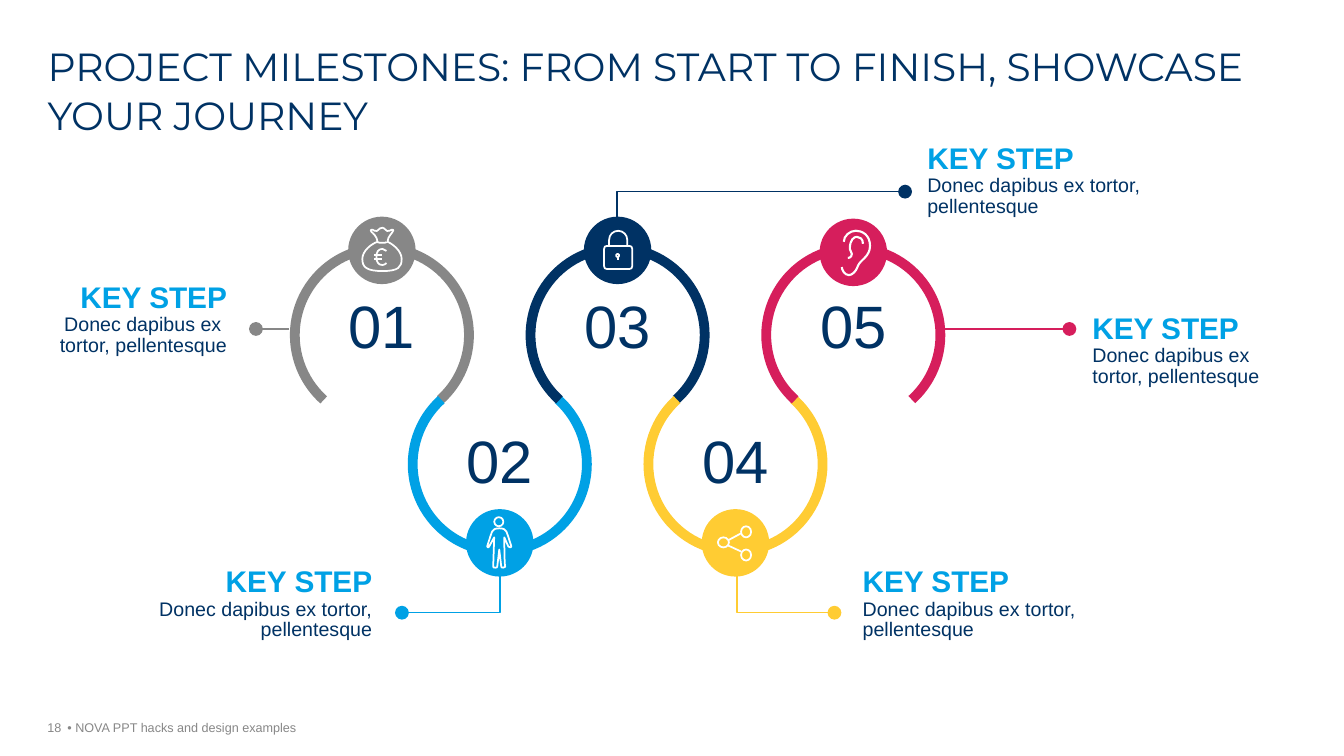
import pptx
import pptx.util
import pptx.dml.color
import pptx.enum.shapes
import pptx.enum.text
import pptx.oxml.ns
import lxml.etree

Cm = pptx.util.Cm
Pt = pptx.util.Pt
RGBColor = pptx.dml.color.RGBColor
SHAPE = pptx.enum.shapes.MSO_SHAPE
STRAIGHT = pptx.enum.shapes.MSO_CONNECTOR.STRAIGHT
ALIGN = pptx.enum.text.PP_ALIGN
ANCHOR = pptx.enum.text.MSO_ANCHOR
qn = pptx.oxml.ns.qn

NAVY = RGBColor(0x00, 0x32, 0x64)
BLUE = RGBColor(0x00, 0xA1, 0xE5)
GRAY = RGBColor(0x87, 0x87, 0x87)
YELLOW = RGBColor(0xFF, 0xCC, 0x33)
PINK = RGBColor(0xD6, 0x1E, 0x5C)
WHITE = RGBColor(0xFF, 0xFF, 0xFF)

TITLE = "PROJECT MILESTONES: FROM START TO FINISH, SHOWCASE YOUR JOURNEY"
FOOTER = "• NOVA PPT hacks and design examples"
PAGE_NUMBER = "18"
HEADING = "KEY STEP"
WIDE_TEXT = "Donec dapibus ex tortor, pellentesque"
NARROW_TEXT = "Donec dapibus ex \vtortor, pellentesque"

ICON_UNIT = Cm(0.0254)
MONEY_BAG = {
    "weight": 1.25,
    "curves": [
        [(38, 34), (37, 33), (36, 32), (34, 32), (30, 32), (28, 35), (28, 40),
         (28, 45), (30, 48), (34, 48), (36, 48), (37, 47), (38, 46)],
        [(38, 25), (38, 25), (38, 26), (34, 26), (29, 26), (29, 25), (29, 25)],
        [(34, 11), (35, 11), (36, 12), (37, 13), (38, 14), (39, 15), (41, 14),
         (44, 12), (46, 13), (44, 15), (44, 16), (39, 20), (39, 25),
         (44, 27), (53, 34), (53, 42), (53, 50), (50, 54), (34, 54),
         (18, 54), (14, 50), (14, 42), (14, 34), (23, 27), (29, 25),
         (29, 20), (24, 16), (23, 15), (21, 13), (24, 12), (26, 14),
         (28, 15), (29, 14), (30, 13), (31, 12), (32, 11), (34, 11)],
    ],
    "lines": [(26, 38, 34, 38), (26, 42, 34, 42)],
}
PERSON = {
    "weight": 1.25,
    "curves": [
        [(33, 19), (29, 19), (27, 20), (26, 22), (25, 24), (21, 37), (21, 37),
         (21, 37), (21, 38), (22, 38), (22, 38), (23, 38), (23, 37),
         (28, 28), (28, 28), (28, 28), (28, 28), (27, 57), (27, 57),
         (27, 58), (28, 58), (29, 58), (30, 58), (31, 58), (31, 57),
         (33, 40), (33, 40), (33, 40), (35, 57), (35, 57), (35, 57),
         (35, 58), (36, 58), (37, 58), (38, 58), (38, 58), (39, 57),
         (38, 57), (38, 28), (38, 28), (42, 37), (42, 37), (42, 37),
         (43, 38), (43, 38), (44, 38), (45, 38), (45, 37), (45, 37),
         (45, 37), (41, 24), (40, 22), (39, 20), (37, 19), (33, 19)],
    ],
    "rings": [(28, 8, 9, 9)],
}
PADLOCK = {
    "weight": 1.25,
    "curves": [
        [(48, 49), (48, 51), (47, 52), (45, 52), (23, 52), (23, 52), (23, 52),
         (21, 52), (20, 51), (20, 49), (20, 32), (20, 32), (20, 32),
         (20, 30), (21, 29), (23, 29), (45, 29), (45, 29), (45, 29),
         (47, 29), (48, 30), (48, 32), (48, 32), (48, 49), (48, 49)],
        [(25, 29), (25, 23), (25, 23), (25, 23), (25, 18), (29, 14), (34, 14),
         (39, 14), (43, 18), (43, 23), (43, 29), (43, 29), (43, 29)],
    ],
    "lines": [(34, 40, 34, 43)],
    "rings": [(32, 37, 3, 3)],
}
SHARE = {
    "weight": 1.25,
    "lines": [(26, 36, 39, 42), (39, 24, 26, 31)],
    "rings": [(16, 28, 11, 10), (39, 40, 10, 11), (39, 17, 10, 11)],
}
EAR = {
    "weight": 1.5,
    "fill": PINK,
    "curves": [
        [(24, 23), (24, 17), (30, 12), (36, 12), (42, 12), (50, 16), (50, 27),
         (50, 38), (40, 41), (38, 47), (36, 53), (32, 56), (29, 56),
         (25, 56), (22, 51), (22, 48)],
        [(43, 25), (43, 20), (40, 18), (37, 18), (34, 18), (30, 21), (30, 30),
         (30, 33), (32, 32), (32, 35), (32, 39), (28, 39), (28, 39)],
    ],
}

STEPS = [
    ("01", GRAY, MONEY_BAG, 5.46, [(7.29, 8.29), (6.45, 8.29)],
     (1.07, 7.01, 4.98), ALIGN.RIGHT, NARROW_TEXT),
    ("02", BLUE, PERSON, 12.83, [(10.13, 15.44), (12.6, 15.44), (12.6, 14.5)],
     (3.51, 14.17, 6.2), ALIGN.RIGHT, WIDE_TEXT),
    ("03", NAVY, PADLOCK, 5.46, [(22.81, 4.83), (15.55, 4.83), (15.55, 5.51)],
     (23.04, 3.51, 6.2), ALIGN.LEFT, WIDE_TEXT),
    ("04", YELLOW, SHARE, 12.83, [(21.03, 15.44), (18.57, 15.44), (18.57, 14.5)],
     (21.41, 14.17, 6.2), ALIGN.LEFT, WIDE_TEXT),
    ("05", PINK, EAR, 5.51, [(23.8, 8.29), (26.95, 8.29)],
     (27.2, 7.78, 4.98), ALIGN.LEFT, NARROW_TEXT),
]
ARC_LEFT, ARC_PITCH, ARC_SIZE = 7.43, 2.97, 4.39
ARC_TOPS, NUMBER_TOPS = (6.25, 9.5), (7.37, 10.77)
DISC_SIZE, NUMBER_WIDTH = 1.7, 3.1


def style(shape, fill, color, weight):
    shape.shadow.inherit = False
    if fill is None:
        shape.fill.background()
    else:
        shape.fill.solid()
        shape.fill.fore_color.rgb = fill
    shape.line.color.rgb = color
    shape.line.width = Pt(weight)


def add_line(shapes, start, end, color, weight):
    line = shapes.add_connector(STRAIGHT, *start, *end)
    line.line.color.rgb = color
    line.line.width = Pt(weight)
    lxml.etree.SubElement(line._element.spPr, qn("a:effectLst"))
    return line


def add_outline(shapes, points, fill, color, weight):
    builder = shapes.build_freeform(*points[0], scale=1.0)
    builder.add_line_segments(points[1:], close=points[0] == points[-1])
    shape = builder.convert_to_shape()
    style(shape, fill, color, weight)
    return shape


def add_curve(shapes, points, fill, color, weight):
    shape = add_outline(shapes, points[::3], fill, color, weight)
    segments = list(shape._element.iter(qn("a:lnTo")))
    for i, segment in enumerate(segments):
        segment.tag = qn("a:cubicBezTo")
        for place, (x, y) in enumerate(points[3 * i + 1:3 * i + 3]):
            control = lxml.etree.Element(qn("a:pt"), x=str(x - shape.left), y=str(y - shape.top))
            segment.insert(place, control)


def add_icon(shapes, icon, left, top):
    def place(x, y):
        return left + x * ICON_UNIT, top + y * ICON_UNIT

    weight = icon["weight"]
    for curve in icon.get("curves", []):
        add_curve(shapes, [place(*point) for point in curve], icon.get("fill"), WHITE, weight)
    for x1, y1, x2, y2 in icon.get("lines", []):
        add_line(shapes, place(x1, y1), place(x2, y2), WHITE, weight)
    for x, y, width, height in icon.get("rings", []):
        ring = shapes.add_shape(SHAPE.OVAL, *place(x, y), width * ICON_UNIT, height * ICON_UNIT)
        style(ring, None, WHITE, weight)


def add_text(page, frame, paragraphs, align=ALIGN.LEFT, spacing=None,
             margins=(0.33, 0.13, 0.33, 0.18), anchor=ANCHOR.TOP):
    text = page.shapes.add_textbox(*map(Cm, frame)).text_frame
    text.word_wrap = True
    text.vertical_anchor = anchor
    text.margin_left, text.margin_top, text.margin_right, text.margin_bottom = map(Cm, margins)
    for i, (words, size, color, bold, font) in enumerate(paragraphs):
        para = text.paragraphs[0] if i == 0 else text.add_paragraph()
        para.text = words
        para.alignment = align
        para.line_spacing = spacing
        for span in para.runs:
            span.font.name, span.font.size, span.font.bold = font, Pt(size), bold
            span.font.color.rgb = color


def add_leader(page, points, color):
    points = [(Cm(x), Cm(y)) for x, y in points]
    if len(points) == 2:
        leader, end = add_line(page.shapes, *points, color, 1), "a:tailEnd"
    else:
        leader, end = add_outline(page.shapes, points, None, color, 1), "a:headEnd"
    line = leader._element.spPr.find(qn("a:ln"))
    lxml.etree.SubElement(line, qn(end), type="oval", w="lg", len="lg")


def add_step(page, index, step):
    number, color, icon, disc_top, leader, (left, top, width), align, words = step
    row = index % 2
    arc_left = ARC_LEFT + index * ARC_PITCH
    center = arc_left + ARC_SIZE / 2
    arc = page.shapes.add_shape(SHAPE.ARC, Cm(arc_left), Cm(ARC_TOPS[row]), Cm(ARC_SIZE), Cm(ARC_SIZE))
    arc.adjustments[0], arc.adjustments[1] = 79.14, 28.68
    arc.rotation = 180 * row
    style(arc, None, color, 7)
    add_leader(page, leader, color)
    badge = page.shapes.add_group_shape().shapes
    disc_left = Cm(center - DISC_SIZE / 2)
    disc = badge.add_shape(SHAPE.OVAL, disc_left, Cm(disc_top), Cm(DISC_SIZE), Cm(DISC_SIZE))
    style(disc, color, color, 0)
    disc.line.fill.background()
    add_icon(badge, icon, disc_left, Cm(disc_top))
    add_text(page, (center - NUMBER_WIDTH / 2, NUMBER_TOPS[row], NUMBER_WIDTH, 1.93),
             [(number, 42.7, NAVY, False, "Arial")], ALIGN.CENTER, 0.89)
    add_text(page, (left, top, width, 2.24),
             [(HEADING, 21.3, BLUE, True, "Arial"), (words, 14, NAVY, False, "Arial")], align, 0.89)


def main():
    deck = pptx.Presentation()
    deck.slide_width, deck.slide_height = Cm(33.87), Cm(19.05)
    page = deck.slides.add_slide(deck.slide_layouts[6])
    add_text(page, (1.2, 1.02, 31.47, 2.49), [(TITLE, 28, NAVY, False, "Montserrat")],
             spacing=1.04, margins=(0, 0, 0, 0))
    for index, step in enumerate(STEPS):
        add_step(page, index, step)
    add_text(page, (0.81, 17.78, 0.74, 0.74), [(PAGE_NUMBER, 9, GRAY, False, "Arial")],
             ALIGN.RIGHT, margins=(0, 0, 0, 0), anchor=ANCHOR.BOTTOM)
    add_text(page, (1.5, 17.78, 15.11, 0.74), [(FOOTER, 9, GRAY, False, "Arial")],
             margins=(0.2, 0, 0, 0), anchor=ANCHOR.BOTTOM)
    deck.save("out.pptx")


if __name__ == "__main__":
    main()
